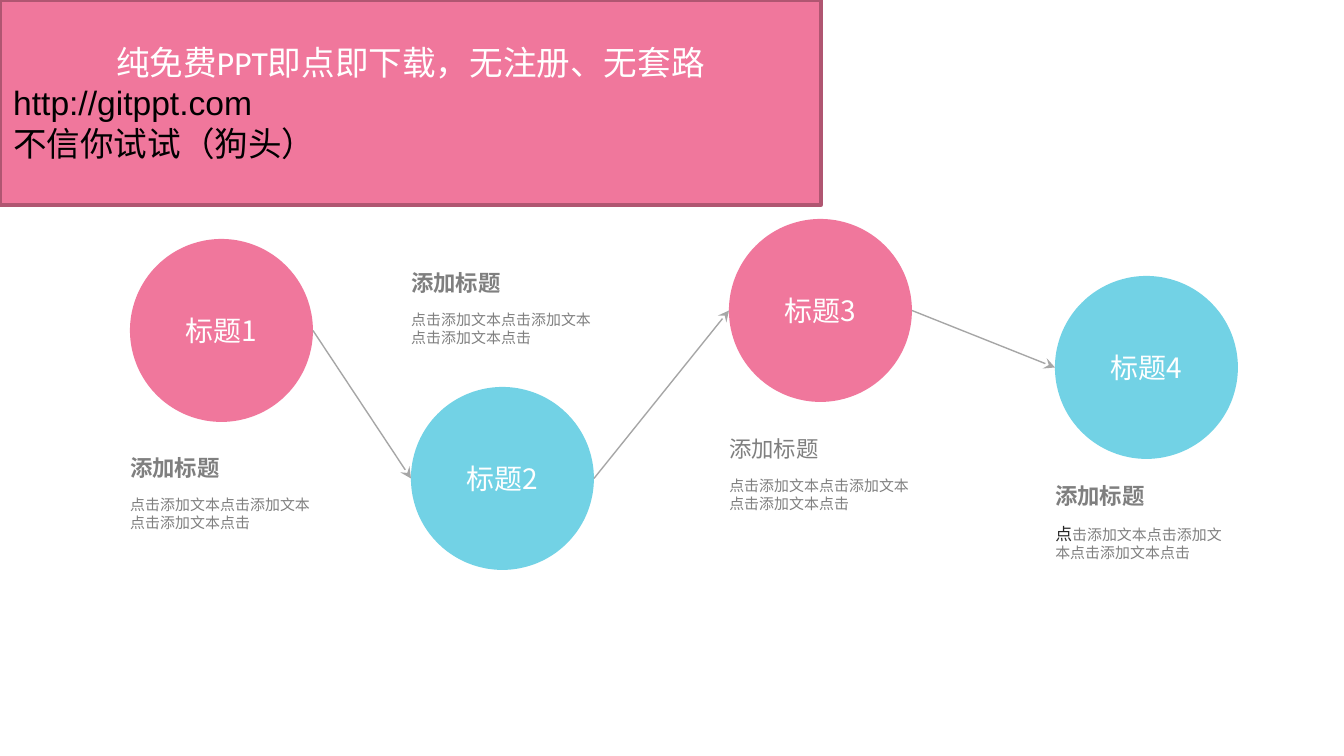
import dataclasses

import pptx
import pptx.dml.color
import pptx.enum.shapes
import pptx.enum.text
import pptx.oxml
import pptx.oxml.ns
import pptx.util

SCALE = 914400 / 134.4
SHAPES = pptx.enum.shapes.MSO_SHAPE
ALIGN = pptx.enum.text.PP_ALIGN
ANCHOR = pptx.enum.text.MSO_ANCHOR


@dataclasses.dataclass(frozen=True)
class Theme:
    pink: str = "F0779C"
    pink_dark: str = "B05671"
    blue: str = "72D2E5"
    white: str = "FFFFFF"
    black: str = "000000"
    ink: str = "262626"
    grey: str = "7F7F7F"
    arrow: str = "A6A6A6"
    cjk: str = "Noto Sans CJK SC"
    banner_size: int = 18
    step_size: int = 15
    heading_size: int = 12
    lead_size: int = 9
    body_size: int = 8


THEME = Theme()

BANNER_LINES = [
    ("纯免费PPT即点即下载，无注册、无套路", "Calibri", THEME.white, ALIGN.CENTER),
    ("http://gitppt.com", "Arial", THEME.black, ALIGN.LEFT),
    ("不信你试试（狗头）", "Arial", THEME.black, ALIGN.LEFT),
]
DIAMETER = 183
# circle left, circle top, fill, caption top, bold heading, length of larger lead text
STEPS = [
    (130, 239, THEME.pink, 434, True, 0),
    (411, 387, THEME.blue, 249, True, 0),
    (729, 219, THEME.pink, 415, False, 0),
    (1055, 276, THEME.blue, 462, True, 1),
]
HEADING = "添加标题"
BODY = "点击添加文本点击添加文本点击添加文本点击"


def px(length):
    return pptx.util.Emu(round(length * SCALE))


def rgb(color):
    return pptx.dml.color.RGBColor.from_string(color)


def style_span(span, size, color, latin=THEME.cjk, bold=False):
    span.font.size = pptx.util.Pt(size)
    span.font.color.rgb = rgb(color)
    span.font.bold = bold
    span.font.name = latin
    east_asian = pptx.oxml.parse_xml(
        f'<a:ea {pptx.oxml.ns.nsdecls("a")} typeface="{THEME.cjk}"/>')
    span.font._element.find(pptx.oxml.ns.qn("a:latin")).addnext(east_asian)


def add_filled_shape(page, kind, box, fill):
    shape = page.shapes.add_shape(kind, *map(px, box))
    shape.shadow.inherit = False
    shape.fill.solid()
    shape.fill.fore_color.rgb = rgb(fill)
    shape.line.fill.background()
    shape.text_frame.vertical_anchor = ANCHOR.MIDDLE
    return shape


def add_banner(page, box):
    banner = add_filled_shape(page, SHAPES.RECTANGLE, box, THEME.pink)
    banner.line.color.rgb = rgb(THEME.pink_dark)
    banner.line.width = pptx.util.Pt(2)
    frame = banner.text_frame
    frame.text = "\n".join(line[0] for line in BANNER_LINES)
    for para, (_, latin, color, align) in zip(frame.paragraphs, BANNER_LINES):
        para.alignment = align
        style_span(para.runs[0], THEME.banner_size, color, latin)


def add_circle(page, box, fill, label):
    circle = add_filled_shape(page, SHAPES.OVAL, box, fill)
    para = circle.text_frame.paragraphs[0]
    para.text = label
    para.alignment = ALIGN.CENTER
    style_span(para.runs[0], THEME.step_size, THEME.white)


def add_arrow(page, start, end):
    arrow = page.shapes.add_connector(
        pptx.enum.shapes.MSO_CONNECTOR.STRAIGHT, *map(px, start + end))
    arrow.line.color.rgb = rgb(THEME.arrow)
    arrow.line.width = pptx.util.Pt(0.75)
    namespace = pptx.oxml.ns.nsdecls("a")
    arrow.line._get_or_add_ln().append(
        pptx.oxml.parse_xml(f'<a:tailEnd {namespace} type="stealth"/>'))
    arrow._element.spPr.append(pptx.oxml.parse_xml(f"<a:effectLst {namespace}/>"))


def add_text_box(page, box):
    frame = page.shapes.add_textbox(*map(px, box)).text_frame
    frame.word_wrap = True
    frame.auto_size = pptx.enum.text.MSO_AUTO_SIZE.SHAPE_TO_FIT_TEXT
    return frame


def add_caption(page, left, top, bold, lead_length):
    """Place a heading with its body text below; the lead of the body is larger and darker."""
    frame = add_text_box(page, (left, top, 180, 54))
    frame.vertical_anchor = ANCHOR.MIDDLE
    para = frame.paragraphs[0]
    para.text = HEADING
    para.line_spacing = 1.5
    style_span(para.runs[0], THEME.heading_size, THEME.grey, bold=bold)

    para = add_text_box(page, (left, top + 55, 208, 50)).paragraphs[0]
    parts = [
        (BODY[:lead_length], THEME.lead_size, THEME.ink),
        (BODY[lead_length:], THEME.body_size, THEME.grey),
    ]
    for text, size, color in parts:
        if text:
            span = para.add_run()
            span.text = text
            style_span(span, size, color)


def add_steps(page):
    for number, (left, top, fill, *_) in enumerate(STEPS, 1):
        add_circle(page, (left, top, DIAMETER, DIAMETER), fill, f"标题{number}")
    radius = DIAMETER / 2
    for (left, top, *_), (next_left, next_top, *_) in zip(STEPS, STEPS[1:]):
        add_arrow(page, (left + DIAMETER, top + radius), (next_left, next_top + radius))
    for left, _, _, caption_top, bold, lead_length in STEPS:
        add_caption(page, left - 13, caption_top, bold, lead_length)


def main():
    deck = pptx.Presentation()
    deck.slide_width, deck.slide_height = px(1344), px(756)
    page = deck.slides.add_slide(deck.slide_layouts.get_by_name("Blank"))
    add_steps(page)
    add_banner(page, (0, 0, 821, 205))
    deck.save("out.pptx")


if __name__ == "__main__":
    main()
